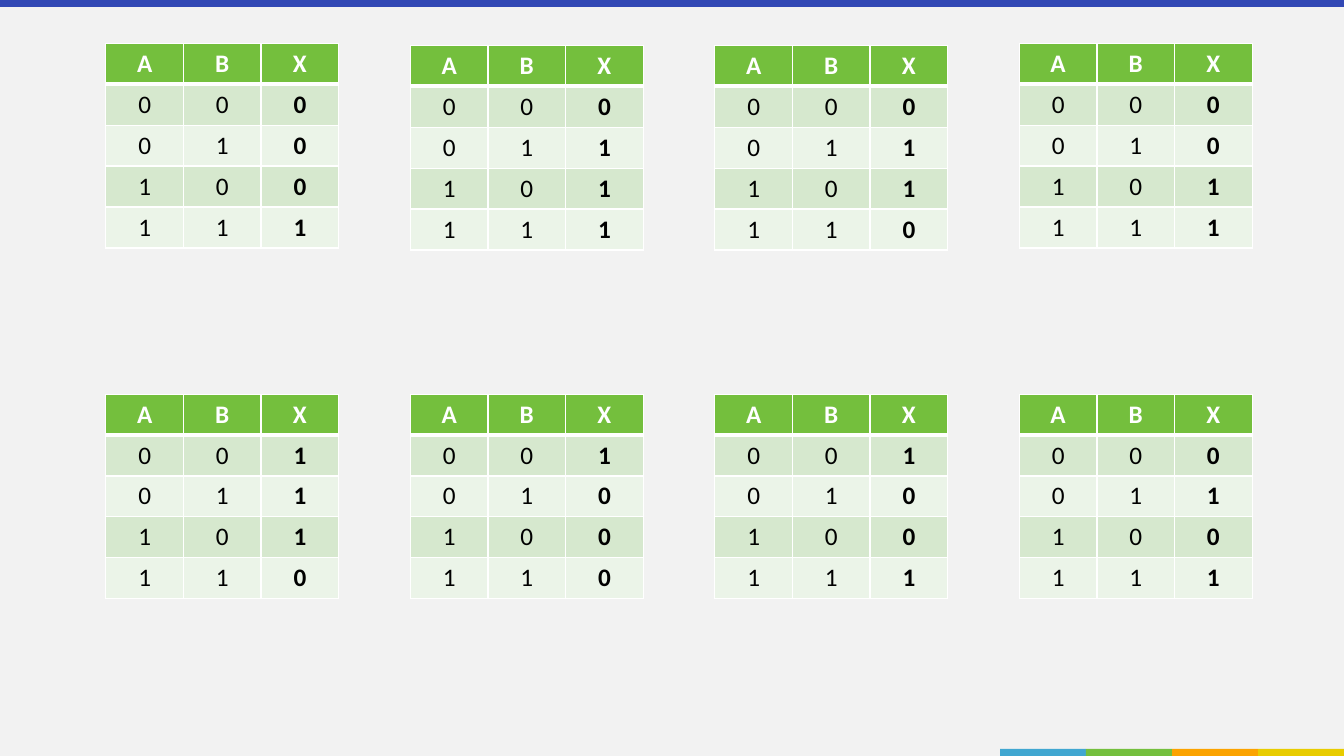
from itertools import product

from lxml import etree
from pptx import Presentation
from pptx.dml.color import RGBColor
from pptx.enum import shapes, text
from pptx.oxml import ns
from pptx.util import Inches, Pt

BACKGROUND = RGBColor(0xF2, 0xF2, 0xF2)
INDIGO = RGBColor(0x32, 0x48, 0xB5)
BLUE = RGBColor(0x41, 0xA7, 0xD1)
GREEN = RGBColor(0x74, 0xBF, 0x3D)
ORANGE = RGBColor(0xFB, 0xA3, 0x00)
YELLOW = RGBColor(0xE8, 0xCC, 0x00)
DARK_BAND = RGBColor(0xD6, 0xE8, 0xCE)
LIGHT_BAND = RGBColor(0xEB, 0xF4, 0xE8)
WHITE = RGBColor(0xFF, 0xFF, 0xFF)
BLACK = RGBColor(0x00, 0x00, 0x00)

SLIDE_WIDTH = 13.33
BAR_HEIGHT = 0.07
STRIPE_WIDTH = 0.853
COLUMN_WIDTH = 0.77
ROW_HEIGHT = 0.406
TABLE_LEFT = 1.05
TABLE_PITCH = 3.02


def write(cell, content, *, color, bold):
    paragraph = cell.text_frame.paragraphs[0]
    paragraph.alignment = text.PP_ALIGN.CENTER
    run = paragraph.add_run()
    run.text = content
    run.font.name = "Calibri"
    run.font.size = Pt(18)
    run.font.bold = bold
    run.font.color.rgb = color


def add_borders(cell, widths):
    properties = cell._tc.get_or_add_tcPr()
    for side, width in widths.items():
        line = etree.SubElement(properties, ns.qn(f"a:ln{side}"), w=str(Pt(width)))
        fill = etree.SubElement(line, ns.qn("a:solidFill"))
        etree.SubElement(fill, ns.qn("a:srgbClr"), val=str(WHITE))


prs = Presentation()
prs.slide_width = Inches(SLIDE_WIDTH)
prs.slide_height = Inches(7.5)
slide = prs.slides.add_slide(prs.slide_layouts[6])
slide.background.fill.solid()
slide.background.fill.fore_color.rgb = BACKGROUND

bars = [(0, 0, SLIDE_WIDTH, INDIGO)]
stripe_colors = [BLUE, GREEN, ORANGE, YELLOW]
stripes_left = SLIDE_WIDTH - len(stripe_colors) * STRIPE_WIDTH
for i, color in enumerate(stripe_colors):
    bars.append((stripes_left + i * STRIPE_WIDTH, 7.43, STRIPE_WIDTH, color))

for left, top, width, color in bars:
    bar = slide.shapes.add_shape(
        shapes.MSO_SHAPE.RECTANGLE,
        Inches(left), Inches(top), Inches(width), Inches(BAR_HEIGHT))
    bar.shadow.inherit = False
    bar.fill.solid()
    bar.fill.fore_color.rgb = color
    bar.line.fill.background()

gate_rows = [
    [(0.43, "0001"), (0.45, "0111"), (0.45, "0110"), (0.43, "0011")],
    [(3.91, "1110"), (3.91, "1000"), (3.91, "1001"), (3.91, "0101")],
]

for gates in gate_rows:
    for position, (top, outputs) in enumerate(gates):
        truth_rows = ["ABX"]
        for (a, b), x in zip(product("01", repeat=2), outputs):
            truth_rows.append(a + b + x)

        truth_table = slide.shapes.add_table(
            len(truth_rows), 3,
            Inches(TABLE_LEFT + position * TABLE_PITCH), Inches(top),
            Inches(3 * COLUMN_WIDTH), Inches(len(truth_rows) * ROW_HEIGHT)).table
        for column in truth_table.columns:
            column.width = Inches(COLUMN_WIDTH)

        for r, values in enumerate(truth_rows):
            truth_table.rows[r].height = Inches(ROW_HEIGHT)
            is_header = r == 0
            band = GREEN if is_header else DARK_BAND if r % 2 else LIGHT_BAND
            for c, value in enumerate(values):
                cell = truth_table.cell(r, c)
                add_borders(cell, {"L": 1, "R": 1, "T": 3 if r == 1 else 1,
                                   "B": 3 if is_header else 1})
                cell.fill.solid()
                cell.fill.fore_color.rgb = band
                write(cell, value, color=WHITE if is_header else BLACK,
                      bold=is_header or c == 2)

prs.save("out.pptx")
